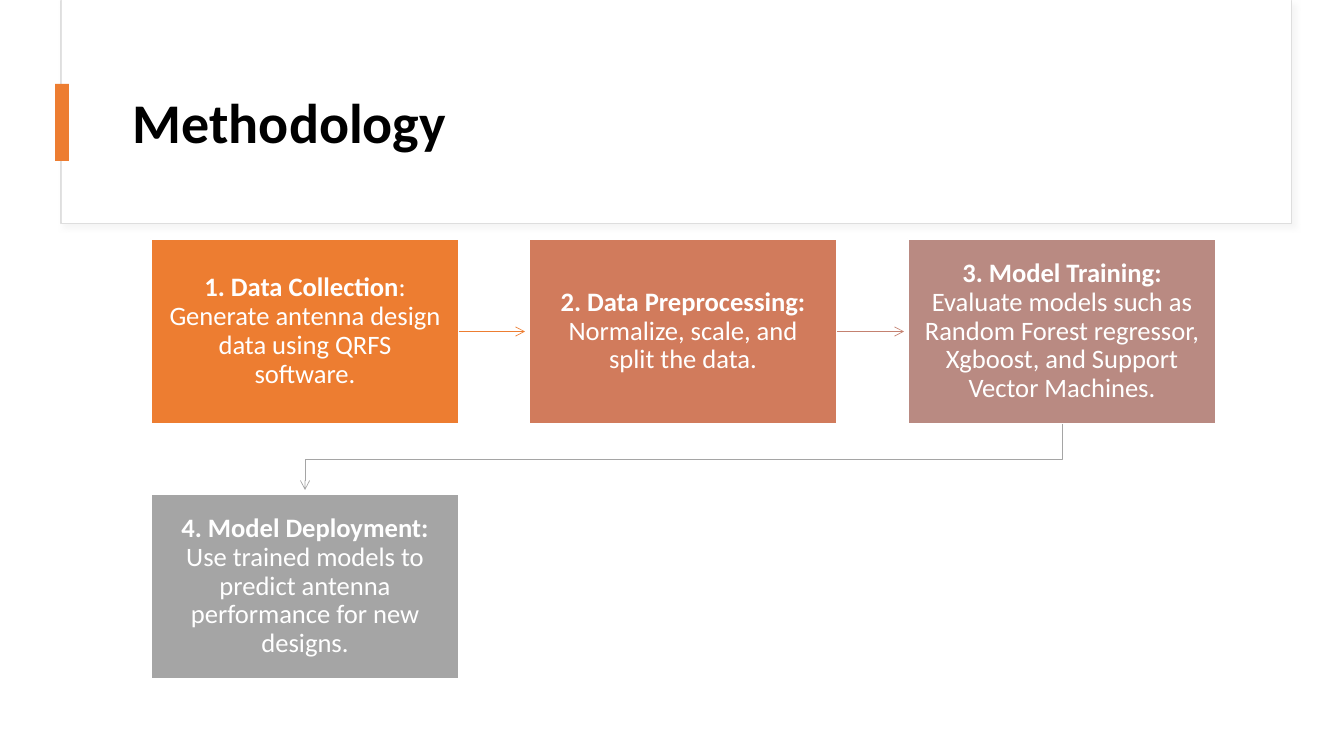
import pptx
import pptx.util
import pptx.dml.color
import pptx.enum.shapes
import pptx.enum.text
import pptx.oxml
import pptx.oxml.ns

EMU_PER_PX = 914400 / 100.8
FONT = "Calibri"
WHITE = "FFFFFF"
ORANGE = "ED7D31"
GREY = "A5A5A5"

COLUMNS = 3
STEP_WIDTH, STEP_HEIGHT = 308, 185
ARROW_GAP = 4

# fill, bold heading, plain text
STEPS = [
    (ORANGE, "1. Data Collection", ": Generate antenna design data using QRFS software."),
    ("D17B5C", "2. Data Preprocessing: ", "Normalize, scale, and split the data."),
    ("B98A82", "3. Model Training: ",
     "Evaluate models such as Random Forest regressor, Xgboost, and Support Vector Machines."),
    (GREY, "4. Model Deployment: ",
     "Use trained models to predict antenna performance for new designs."),
]
ARROW_COLORS = [ORANGE, "C48170", GREY]


def px(length):
    return pptx.util.Emu(round(length * EMU_PER_PX))


def color(hex_string):
    return pptx.dml.color.RGBColor.from_string(hex_string)


def append_xml(parent, xml):
    namespace = pptx.oxml.ns.nsdecls("a")
    parent.append(pptx.oxml.parse_xml(xml.replace(">", f" {namespace}>", 1)))


def add_rectangle(slide, left, top, width, height, fill, line=None, line_width=1):
    shape = slide.shapes.add_shape(
        pptx.enum.shapes.MSO_SHAPE.RECTANGLE, px(left), px(top), px(width), px(height))
    shape.shadow.inherit = False
    shape.fill.solid()
    shape.fill.fore_color.rgb = color(fill)
    if line:
        shape.line.color.rgb = color(line)
        shape.line.width = pptx.util.Pt(line_width)
    else:
        shape.line.fill.background()
    return shape


def add_run(paragraph, text, size, hex_string, bold):
    run = paragraph.add_run()
    run.text = text
    run.font.name = FONT
    run.font.size = pptx.util.Pt(size)
    run.font.bold = bold
    run.font.color.rgb = color(hex_string)


def style_arrow(arrow, hex_string):
    arrow.line.color.rgb = color(hex_string)
    arrow.line.width = pptx.util.Pt(0.5)
    append_xml(arrow.line._get_or_add_ln(), '<a:tailEnd type="arrow"></a:tailEnd>')


def add_header(slide, left, top, width, height):
    # Framed panel with a soft shadow
    panel = add_rectangle(slide, left, top, width, height, WHITE, "DEDEDE", 0.75)
    effects = panel._element.spPr.find(pptx.oxml.ns.qn("a:effectLst"))
    append_xml(effects, '<a:outerShdw blurRad="50800" dist="38100" dir="2700000">'
                        '<a:srgbClr val="D9D9D9"><a:alpha val="25000"/></a:srgbClr>'
                        '</a:outerShdw>')
    add_rectangle(slide, left + 1, top - 1, width - 2, height - 1, WHITE)

    # Title
    title = slide.shapes.add_textbox(px(left + 62), px(top + 59), px(1121), px(130))
    frame = title.text_frame
    frame.word_wrap = True
    frame.vertical_anchor = pptx.enum.text.MSO_ANCHOR.MIDDLE
    frame.paragraphs[0].line_spacing = 0.9
    add_run(frame.paragraphs[0], "Methodology", 40, "000000", True)

    # Accent bar across the panel's left edge
    add_rectangle(slide, left - 6, top + 83, 14, 77, ORANGE)


def add_step(slide, left, top, fill, heading, body):
    shape = add_rectangle(slide, left, top, STEP_WIDTH, STEP_HEIGHT, fill, WHITE)
    frame = shape.text_frame
    frame.word_wrap = True
    frame.vertical_anchor = pptx.enum.text.MSO_ANCHOR.MIDDLE
    frame.margin_left = frame.margin_right = px(15)
    frame.margin_top = frame.margin_bottom = px(16)
    paragraph = frame.paragraphs[0]
    paragraph.alignment = pptx.enum.text.PP_ALIGN.CENTER
    paragraph.line_spacing = 0.9
    add_run(paragraph, heading, 19, WHITE, True)
    add_run(paragraph, body, 19, WHITE, False)
    return shape


def add_straight_arrow(slide, step, next_left, middle, hex_string):
    end = px(next_left - ARROW_GAP)
    arrow = slide.shapes.add_connector(
        pptx.enum.shapes.MSO_CONNECTOR.STRAIGHT,
        step.left + step.width, px(middle), end, px(middle))
    arrow.begin_connect(step, 3)
    append_xml(arrow._element.spPr, "<a:effectLst></a:effectLst>")
    style_arrow(arrow, hex_string)


def add_row_arrow(slide, start_x, start_y, end_x, end_y, hex_string):
    turn = (start_y + end_y) // 2
    builder = slide.shapes.build_freeform(start_x, start_y, scale=EMU_PER_PX)
    builder.add_line_segments(
        [(start_x, turn), (end_x, turn), (end_x, end_y - ARROW_GAP)], close=False)
    arrow = builder.convert_to_shape()
    arrow.shadow.inherit = False
    arrow.fill.background()
    style_arrow(arrow, hex_string)


def add_process(slide, left, top, width, height):
    # Steps fill the grid row by row
    places = []
    for index in range(len(STEPS)):
        row, column = divmod(index, COLUMNS)
        places.append((left + (width - STEP_WIDTH) * column // (COLUMNS - 1),
                       top + (height - STEP_HEIGHT) * row))
    shapes = [add_step(slide, *place, *step) for place, step in zip(places, STEPS)]

    # Arrows join each step to the next
    for index, hex_string in enumerate(ARROW_COLORS):
        (step_left, step_top), (next_left, next_top) = places[index:index + 2]
        if step_top == next_top:
            add_straight_arrow(slide, shapes[index], next_left,
                               step_top + STEP_HEIGHT / 2, hex_string)
        else:
            add_row_arrow(slide, step_left + STEP_WIDTH // 2, step_top + STEP_HEIGHT,
                          next_left + STEP_WIDTH // 2, next_top, hex_string)


def main():
    presentation = pptx.Presentation()
    presentation.slide_width = px(1344)
    presentation.slide_height = px(756)
    slide = presentation.slides.add_slide(presentation.slide_layouts[6])
    add_header(slide, 61, 1, 1231, 223)
    add_process(slide, 151, 239, 1065, 440)
    presentation.save("out.pptx")


if __name__ == "__main__":
    main()
